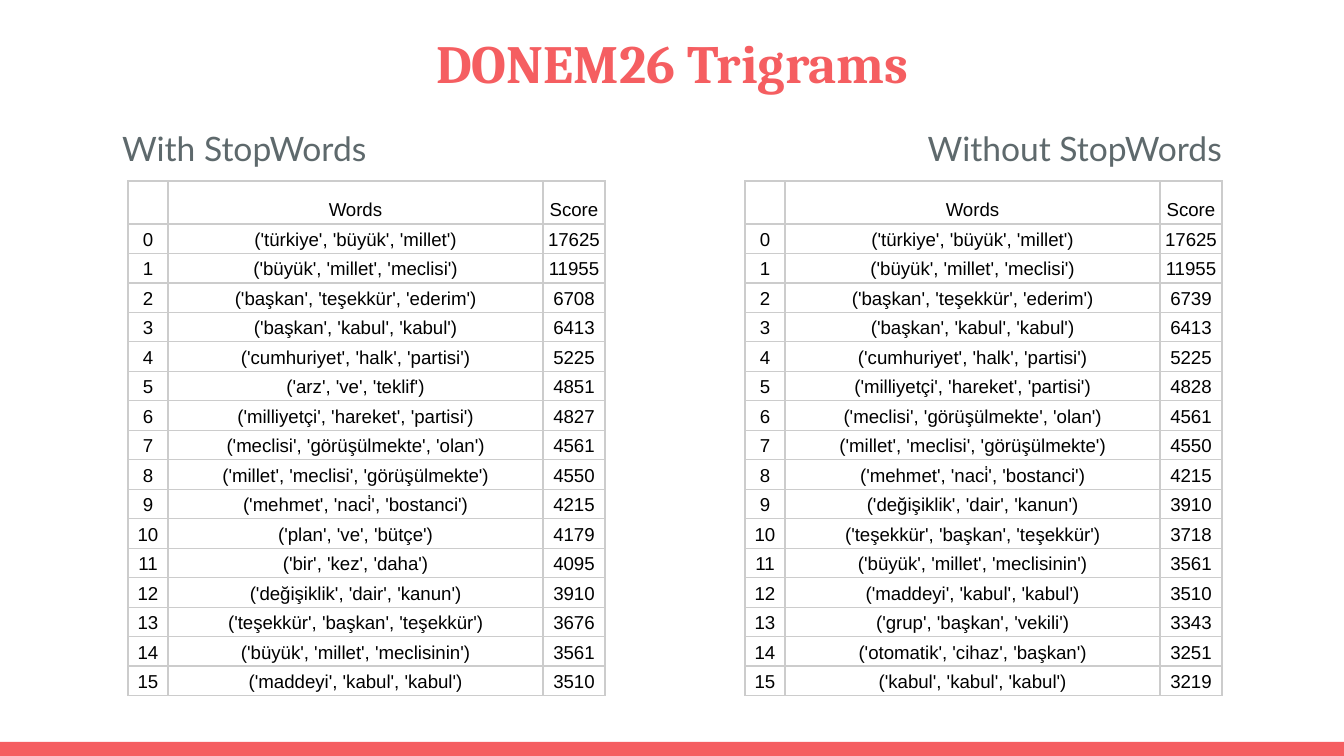
from typing import NamedTuple

from lxml import etree
from pptx import Presentation
from pptx import util as u
from pptx.dml.color import RGBColor
from pptx.enum import shapes, text
from pptx.oxml import ns

WIDTH, HEIGHT = 1344, 756
SCALE = u.Inches(10) / WIDTH
CORAL, SLATE, BLACK, GRID = "F55E61", "5E696C", "000000", "CCCCCC"
COLUMNS = (40, 375, 62)
TABLE_TOP, HEADER_HEIGHT, ROWS_HEIGHT = 181, 43, 472
HEADING_WIDTH = 563


class Trigram(NamedTuple):
    words: str
    score: int


class Panel(NamedTuple):
    heading: str
    heading_left: int
    align: text.PP_ALIGN
    table_left: int
    trigrams: list[Trigram]


WITH_STOPWORDS = Panel("With StopWords", 109, text.PP_ALIGN.LEFT, 128, [
    Trigram("türkiye büyük millet", 17625),
    Trigram("büyük millet meclisi", 11955),
    Trigram("başkan teşekkür ederim", 6708),
    Trigram("başkan kabul kabul", 6413),
    Trigram("cumhuriyet halk partisi", 5225),
    Trigram("arz ve teklif", 4851),
    Trigram("milliyetçi hareket partisi", 4827),
    Trigram("meclisi görüşülmekte olan", 4561),
    Trigram("millet meclisi görüşülmekte", 4550),
    Trigram("mehmet naci̇ bostanci", 4215),
    Trigram("plan ve bütçe", 4179),
    Trigram("bir kez daha", 4095),
    Trigram("değişiklik dair kanun", 3910),
    Trigram("teşekkür başkan teşekkür", 3676),
    Trigram("büyük millet meclisinin", 3561),
    Trigram("maddeyi kabul kabul", 3510),
])
WITHOUT_STOPWORDS = Panel("Without StopWords", 672, text.PP_ALIGN.RIGHT, 745, [
    Trigram("türkiye büyük millet", 17625),
    Trigram("büyük millet meclisi", 11955),
    Trigram("başkan teşekkür ederim", 6739),
    Trigram("başkan kabul kabul", 6413),
    Trigram("cumhuriyet halk partisi", 5225),
    Trigram("milliyetçi hareket partisi", 4828),
    Trigram("meclisi görüşülmekte olan", 4561),
    Trigram("millet meclisi görüşülmekte", 4550),
    Trigram("mehmet naci̇ bostanci", 4215),
    Trigram("değişiklik dair kanun", 3910),
    Trigram("teşekkür başkan teşekkür", 3718),
    Trigram("büyük millet meclisinin", 3561),
    Trigram("maddeyi kabul kabul", 3510),
    Trigram("grup başkan vekili", 3343),
    Trigram("otomatik cihaz başkan", 3251),
    Trigram("kabul kabul kabul", 3219),
])


def px(length: int) -> int:
    return round(length * SCALE)


def color(value: str) -> RGBColor:
    return RGBColor.from_string(value)


def write(frame, content: str, *, size: float, font: str, fill: str,
          bold: bool = False, align=text.PP_ALIGN.CENTER, spacing: float = 1.0):
    para = frame.paragraphs[0]
    para.alignment = align
    para.line_spacing = spacing
    para.space_before = u.Pt(0)
    span = para.add_run()
    span.text = content
    span.font.size = u.Pt(size)
    span.font.name = font
    span.font.bold = bold
    span.font.color.rgb = color(fill)
    return para


def place(box, left: int, top: int, width: int, height: int, anchor):
    """Move a placeholder and return its text frame."""
    box.left, box.top, box.width, box.height = map(px, (left, top, width, height))
    frame = box.text_frame
    frame.margin_left = frame.margin_right = px(13)
    frame.margin_top = frame.margin_bottom = px(13)
    frame.vertical_anchor = anchor
    frame.word_wrap = True
    frame.auto_size = text.MSO_AUTO_SIZE.NONE
    return frame


def remove_bullet(para) -> None:
    props = para._p.get_or_add_pPr()
    props.set("marL", "0")
    props.set("indent", "0")
    etree.SubElement(props, ns.qn("a:buNone"))


def set_borders(cell) -> None:
    props = cell._tc.get_or_add_tcPr()
    for index, side in enumerate(("lnL", "lnR", "lnT", "lnB")):
        line = etree.Element(ns.qn(f"a:{side}"), w=str(u.Pt(0.75)))
        solid = etree.SubElement(line, ns.qn("a:solidFill"))
        etree.SubElement(solid, ns.qn("a:srgbClr"), val=GRID)
        props.insert(index, line)


def fill_cell(cell, content: str) -> None:
    cell.margin_left = cell.margin_right = px(4)
    cell.margin_top, cell.margin_bottom = (px(1), px(3)) if content else (0, 0)
    cell.vertical_anchor = text.MSO_ANCHOR.BOTTOM
    cell.fill.background()
    set_borders(cell)
    if content:
        write(cell.text_frame, content, size=10, font="Arial", fill=BLACK, spacing=1.15)


def draw_heading(box, panel: Panel) -> None:
    frame = place(box, panel.heading_left, 109, HEADING_WIDTH, 72, text.MSO_ANCHOR.TOP)
    para = write(frame, panel.heading, size=18, font="Lato", fill=SLATE,
                 align=panel.align, spacing=1.15)
    remove_bullet(para)


def draw_table(page, panel: Panel) -> None:
    rows = [("", "Words", "Score")]
    rows += [(str(number), str(tuple(trigram.words.split())), str(trigram.score))
             for number, trigram in enumerate(panel.trigrams)]
    grid = page.shapes.add_table(
        len(rows), len(COLUMNS), px(panel.table_left), px(TABLE_TOP),
        px(sum(COLUMNS)), px(HEADER_HEIGHT + ROWS_HEIGHT)).table
    grid.first_row = grid.horz_banding = False
    for column, width in zip(grid.columns, COLUMNS):
        column.width = px(width)
    for index, values in enumerate(rows):
        grid.rows[index].height = (
            px(ROWS_HEIGHT) // len(panel.trigrams) if index else px(HEADER_HEIGHT))
        for cell, content in zip(grid.rows[index].cells, values):
            fill_cell(cell, content)


def main() -> None:
    deck = Presentation()
    deck.slide_width, deck.slide_height = px(WIDTH), px(HEIGHT)
    page = deck.slides.add_slide(deck.slide_layouts.get_by_name("Two Content"))

    # Bottom bar
    bar = page.shapes.add_shape(shapes.MSO_SHAPE.RECTANGLE, 0, px(742), px(WIDTH), px(14))
    bar.shadow.inherit = False
    bar.fill.solid()
    bar.fill.fore_color.rgb = color(CORAL)
    bar.line.fill.background()

    # Title
    title = place(page.shapes.title, 46, 16, 1253, 92, text.MSO_ANCHOR.MIDDLE)
    write(title, "DONEM26 Trigrams", size=28.8, font="Cambria", fill=CORAL, bold=True)

    # Heading and score table on each side
    for index, panel in enumerate((WITH_STOPWORDS, WITHOUT_STOPWORDS), start=1):
        draw_heading(page.placeholders[index], panel)
        draw_table(page, panel)

    deck.save("out.pptx")


if __name__ == "__main__":
    main()
